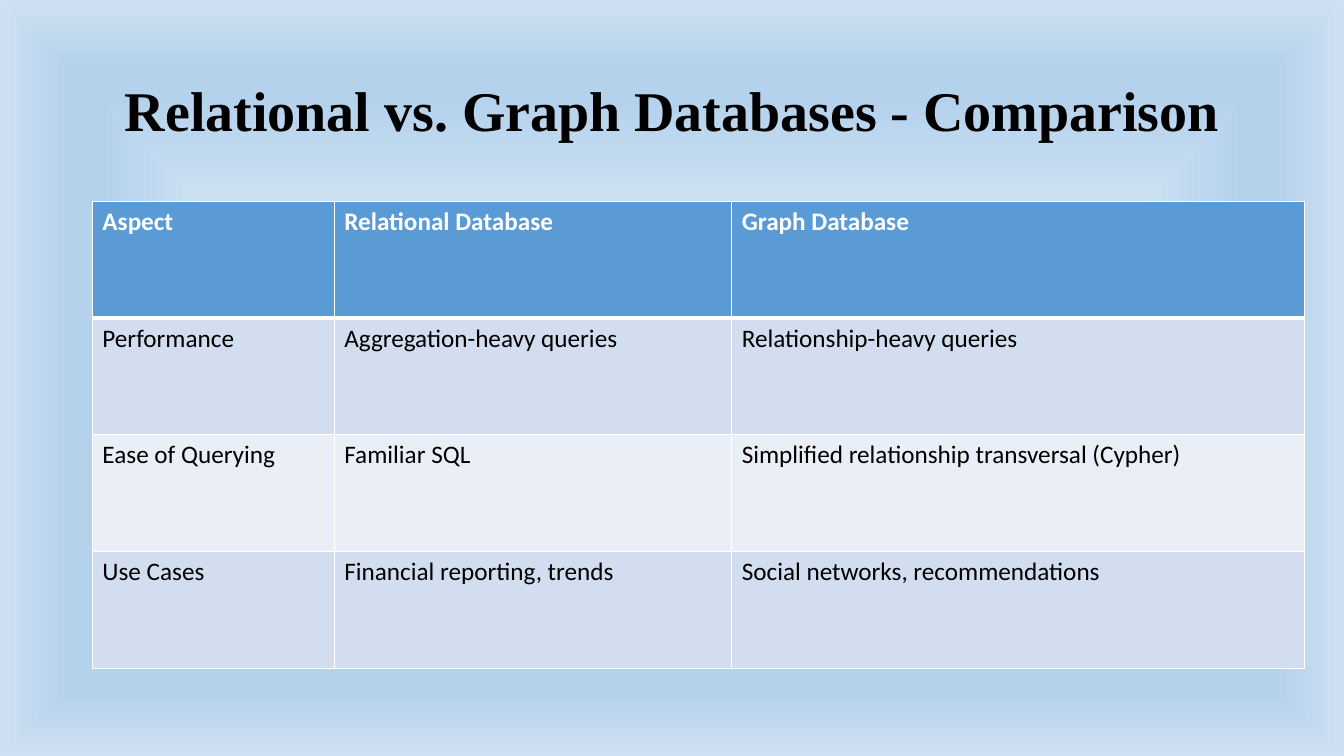
from lxml import etree
from pptx import Presentation
from pptx.dml.color import RGBColor
from pptx.enum.text import MSO_ANCHOR, PP_ALIGN
from pptx.oxml import parse_xml
from pptx.oxml.ns import nsdecls, qn
from pptx.util import Pt

MIDDLE = MSO_ANCHOR.MIDDLE
LEFT, CENTER = PP_ALIGN.LEFT, PP_ALIGN.CENTER

BLACK = RGBColor(0x00, 0x00, 0x00)
WHITE = RGBColor(0xFF, 0xFF, 0xFF)
HEADER_BLUE = RGBColor(0x5B, 0x9B, 0xD5)
BAND_DARK = RGBColor(0xD2, 0xDE, 0xEF)
BAND_LIGHT = RGBColor(0xEA, 0xEF, 0xF7)
GLOW_WHITE = RGBColor(0xF7, 0xFA, 0xFD)
GLOW_BLUE = RGBColor(0xB5, 0xD2, 0xEC)
GLOW_EDGE = RGBColor(0xCE, 0xE1, 0xF2)

GLOW_STOPS = [(0, GLOW_WHITE), (74, GLOW_BLUE), (83, GLOW_BLUE), (100, GLOW_EDGE)]
COLUMN_WIDTHS = [172.8, 283.9, 409.3]
ROW_HEIGHT = 83.4
ROWS = [
    ("Aspect", "Relational Database", "Graph Database"),
    ("Performance", "Aggregation-heavy queries", "Relationship-heavy queries"),
    ("Ease of Querying", "Familiar SQL", "Simplified relationship transversal (Cypher)"),
    ("Use Cases", "Financial reporting, trends", "Social networks, recommendations"),
]


def write_text(frame, text, font="Calibri", size=18, color=BLACK, bold=False,
               align=LEFT, spacing=1.0):
    para = frame.paragraphs[0]
    para.alignment = align
    para.line_spacing = spacing
    span = para.add_run()
    span.text = text
    span.font.name = font
    span.font.size = Pt(size)
    span.font.color.rgb = color
    span.font.bold = bold


def add_border(cell, side, width):
    line = etree.SubElement(cell._tc.get_or_add_tcPr(), qn(f"a:{side}"), w=str(Pt(width)))
    fill = etree.SubElement(line, qn("a:solidFill"))
    etree.SubElement(fill, qn("a:srgbClr"), val=str(WHITE))


deck = Presentation()
deck.slide_width = Pt(960)
deck.slide_height = Pt(540)
page = deck.slides.add_slide(deck.slide_layouts[5])

# Background glow
page.background.fill.solid()
solid = page.element.find(".//" + qn("p:bgPr")).find(qn("a:solidFill"))
stops = "".join(f'<a:gs pos="{place * 1000}"><a:srgbClr val="{color}"/></a:gs>'
                for place, color in GLOW_STOPS)
glow = parse_xml(
    f'<a:gradFill {nsdecls("a")} rotWithShape="1"><a:gsLst>{stops}</a:gsLst>'
    '<a:path path="shape"><a:fillToRect l="50000" t="50000" r="50000" b="50000"/></a:path>'
    '</a:gradFill>')
solid.getparent().replace(solid, glow)

# Title
title = page.shapes.title
title.left, title.top, title.width, title.height = Pt(66), Pt(28.75), Pt(828), Pt(104.4)
title.text_frame.vertical_anchor = MIDDLE
write_text(title.text_frame, "Relational vs. Graph Databases - Comparison",
           font="Times New Roman", size=40, bold=True, align=CENTER, spacing=0.9)

# Comparison table
table = page.shapes.add_table(len(ROWS), len(COLUMN_WIDTHS), Pt(66), Pt(143.75),
                              Pt(sum(COLUMN_WIDTHS)), Pt(ROW_HEIGHT * len(ROWS))).table
for column, width in zip(table.columns, COLUMN_WIDTHS):
    column.width = Pt(width)

for row_index, texts in enumerate(ROWS):
    table.rows[row_index].height = Pt(ROW_HEIGHT)
    is_header = row_index == 0
    band = HEADER_BLUE if is_header else BAND_DARK if row_index % 2 else BAND_LIGHT
    for column_index, text in enumerate(texts):
        cell = table.cell(row_index, column_index)
        write_text(cell.text_frame, text, color=WHITE if is_header else BLACK, bold=is_header)
        for side in ("lnL", "lnR", "lnT", "lnB"):
            below_header = (row_index, side) in ((0, "lnB"), (1, "lnT"))
            add_border(cell, side, 3 if below_header else 1)
        cell.fill.solid()
        cell.fill.fore_color.rgb = band

deck.save("out.pptx")
